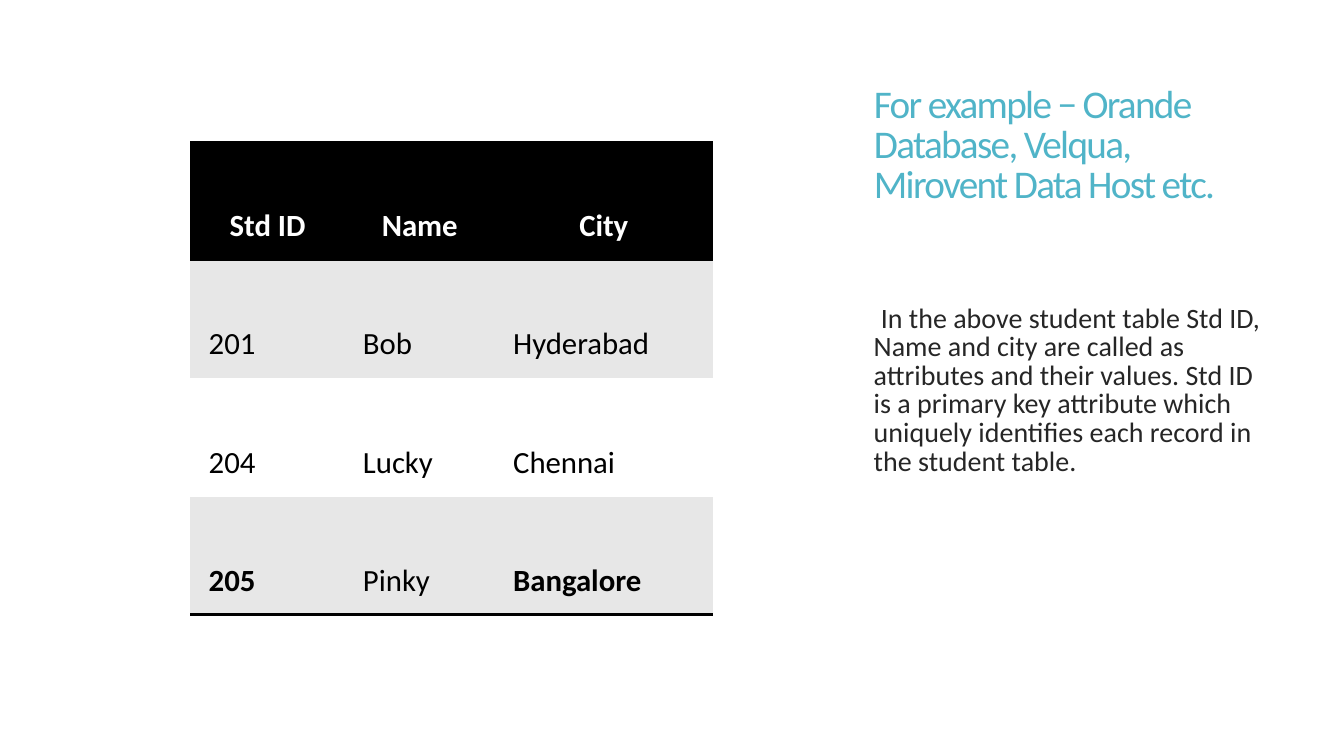
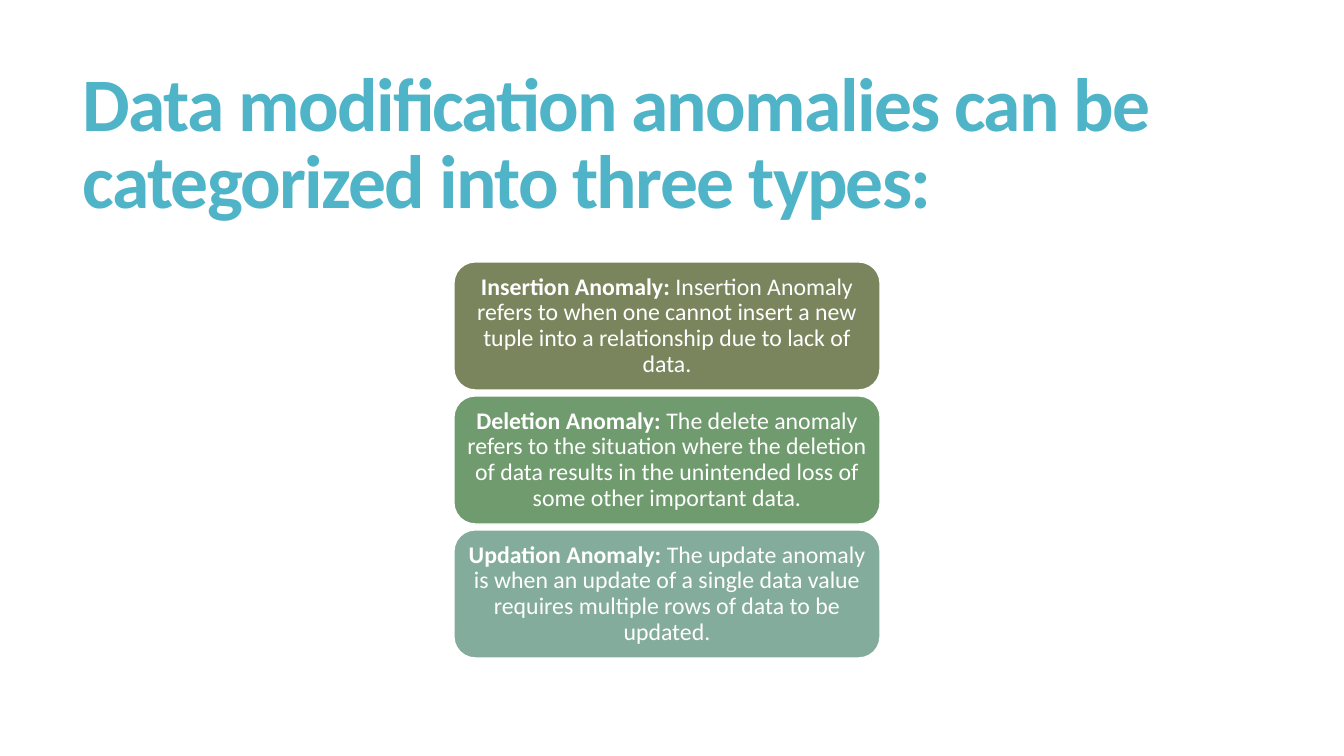
from pptx import Presentation
from pptx.dml.color import RGBColor
from pptx.enum.shapes import MSO_SHAPE
from pptx.enum.text import MSO_ANCHOR, MSO_AUTO_SIZE, PP_ALIGN
from pptx.oxml import parse_xml
from pptx.oxml.ns import nsdecls, qn
from pptx.util import Cm, Pt

ROUNDED = MSO_SHAPE.ROUNDED_RECTANGLE
TOP, MIDDLE = MSO_ANCHOR.TOP, MSO_ANCHOR.MIDDLE
LEFT, CENTER = PP_ALIGN.LEFT, PP_ALIGN.CENTER
NO_AUTOFIT = MSO_AUTO_SIZE.NONE

# Shared look
FONT = "Calibri"
TEAL = RGBColor(0x50, 0xB4, 0xC8)
INK = RGBColor(0x26, 0x26, 0x26)
BLACK = RGBColor(0x00, 0x00, 0x00)
WHITE = RGBColor(0xFF, 0xFF, 0xFF)
BAND = RGBColor(0xE7, 0xE7, 0xE7)
OLIVE = RGBColor(0x7A, 0x85, 0x5D)
GREEN = RGBColor(0x70, 0x9B, 0x6E)
SAGE = RGBColor(0x84, 0xAC, 0x9D)

TITLE_TOP, TITLE_HEIGHT = 1.4, 4.6
NO_STYLE = "{2D5ABB26-0587-4C30-8999-92F81FD0307C}"

# Content
STUDENT_ROWS = [
    ("Std ID", "Name", "City"),
    ("201", "Bob", "Hyderabad"),
    ("204", "Lucky", "Chennai"),
    ("205", "Pinky", "Bangalore"),
]
BOLD_VALUES = {"205", "Bangalore"}
COLUMN_SHARES = (1.53, 1.49, 2.16)
STUDENT_NOTE = (
    "In the above student table Std ID, Name and city are called as attributes "
    "and their values. Std ID is a primary key attribute which uniquely "
    "identifies each record in the student table."
)
ANOMALIES = [
    ("Insertion Anomaly:", " Insertion Anomaly refers to when one cannot insert "
     "a new tuple into a relationship due to lack of data.", OLIVE),
    ("Deletion Anomaly:", " The delete anomaly refers to the situation where the "
     "deletion of data results in the unintended loss of some other important "
     "data.", GREEN),
    ("Updation Anomaly:", " The update anomaly is when an update of a single data "
     "value requires multiple rows of data to be updated.", SAGE),
]


def write_text(frame, text, *, size, color, bold=False, lead="", align=LEFT,
               anchor=TOP, line_spacing=1.0, tracking=0, first_indent=0):
    """Fill a text frame with one paragraph, after an optional bold lead."""
    frame.word_wrap = True
    frame.vertical_anchor = anchor
    paragraph = frame.paragraphs[0]
    paragraph.alignment = align
    paragraph.line_spacing = line_spacing
    if first_indent:
        paragraph._p.get_or_add_pPr().set("indent", str(Cm(first_indent)))
    for part, is_bold in ((lead, True), (text, bold)):
        if not part:
            continue
        run = paragraph.add_run()
        run.text = part
        run.font.name = FONT
        run.font.size = Pt(size)
        run.font.bold = is_bold
        run.font.color.rgb = color
        if tracking:
            run._r.get_or_add_rPr().set("spc", str(round(tracking * 100)))


def add_titled_slide(presentation, text, left, width, size, bold=False):
    slide = presentation.slides.add_slide(presentation.slide_layouts[5])
    title = slide.shapes.title
    title.left, title.top = Cm(left), Cm(TITLE_TOP)
    title.width, title.height = Cm(width), Cm(TITLE_HEIGHT)
    title.text_frame.auto_size = NO_AUTOFIT
    write_text(title.text_frame, text, size=size, color=TEAL, bold=bold,
               anchor=MIDDLE, line_spacing=0.85, tracking=-1.2)
    return slide


def add_cell_border(cell, side):
    cell._tc.get_or_add_tcPr().insert(0, parse_xml(
        f'<a:{side} {nsdecls("a")} w="{Pt(2)}"><a:solidFill>'
        f'<a:srgbClr val="{BLACK}"/></a:solidFill></a:{side}>'))


def add_student_table(slide, left, top, width, height):
    row_count = len(STUDENT_ROWS)
    frame = slide.shapes.add_table(row_count, len(COLUMN_SHARES), Cm(left),
                                   Cm(top), Cm(width), Cm(height))
    table = frame.table
    table._tbl.tblPr.find(qn("a:tableStyleId")).text = NO_STYLE
    for column, share in zip(table.columns, COLUMN_SHARES):
        column.width = Cm(width * share / sum(COLUMN_SHARES))
    for row_index, values in enumerate(STUDENT_ROWS):
        table.rows[row_index].height = Cm(height / row_count)
        is_header = row_index == 0
        fill = BLACK if is_header else BAND if row_index % 2 else WHITE
        for column_index, value in enumerate(values):
            cell = table.cell(row_index, column_index)
            cell.margin_left = cell.margin_right = Cm(0.46)
            cell.margin_top, cell.margin_bottom = Cm(1.65), Cm(0.23)
            cell.fill.solid()
            cell.fill.fore_color.rgb = fill
            write_text(cell.text_frame, value, size=22,
                       color=WHITE if is_header else BLACK,
                       bold=is_header or value in BOLD_VALUES,
                       align=CENTER if is_header else LEFT)
            if is_header or row_index == row_count - 1:
                add_cell_border(cell, "lnB")
            if is_header:
                add_cell_border(cell, "lnT")


def add_note(slide, left, top, width, height):
    box = slide.shapes.add_textbox(Cm(left), Cm(top), Cm(width), Cm(height))
    write_text(box.text_frame, STUDENT_NOTE, size=20, color=INK,
               line_spacing=0.85, first_indent=0.18)


def add_anomaly_stack(slide, left, top, width, height, gap=0.15):
    count = len(ANOMALIES)
    box_height = (height - gap * (count - 1)) / count
    for index, (name, meaning, color) in enumerate(ANOMALIES):
        box_top = top + index * (box_height + gap)
        shape = slide.shapes.add_shape(ROUNDED, Cm(left), Cm(box_top),
                                       Cm(width), Cm(box_height))
        shape.shadow.inherit = False
        shape.fill.solid()
        shape.fill.fore_color.rgb = color
        shape.line.color.rgb = WHITE
        shape.line.width = Pt(1)
        frame = shape.text_frame
        frame.margin_left = frame.margin_right = Cm(0.18)
        frame.margin_top = frame.margin_bottom = Cm(0.1)
        write_text(frame, meaning, lead=name, size=17, color=WHITE,
                   align=CENTER, anchor=MIDDLE, line_spacing=0.9)


def build_example_slide(presentation):
    # Table on the left, title and note in the right column
    column_left, column_width = 21.77, 10.29
    slide = add_titled_slide(
        presentation,
        "For example − Orande Database, Velqua, Mirovent Data Host etc.",
        column_left, column_width, size=28)
    add_note(slide, column_left, 7.57, column_width, 8.76)
    add_student_table(slide, 4.8, 3.58, 13.16, 11.91)


def build_anomaly_slide(presentation):
    # Wide title above a centred stack of boxes
    slide = add_titled_slide(
        presentation,
        "Data modification anomalies can be categorized into three types:",
        1.83, 29.92, size=54, bold=True)
    add_anomaly_stack(slide, 11.44, 6.6, 10.74, 9.98)


def main():
    presentation = Presentation()
    presentation.slide_width = Cm(33.87)
    presentation.slide_height = Cm(19.05)
    build_example_slide(presentation)
    build_anomaly_slide(presentation)
    presentation.save("out.pptx")


if __name__ == "__main__":
    main()
